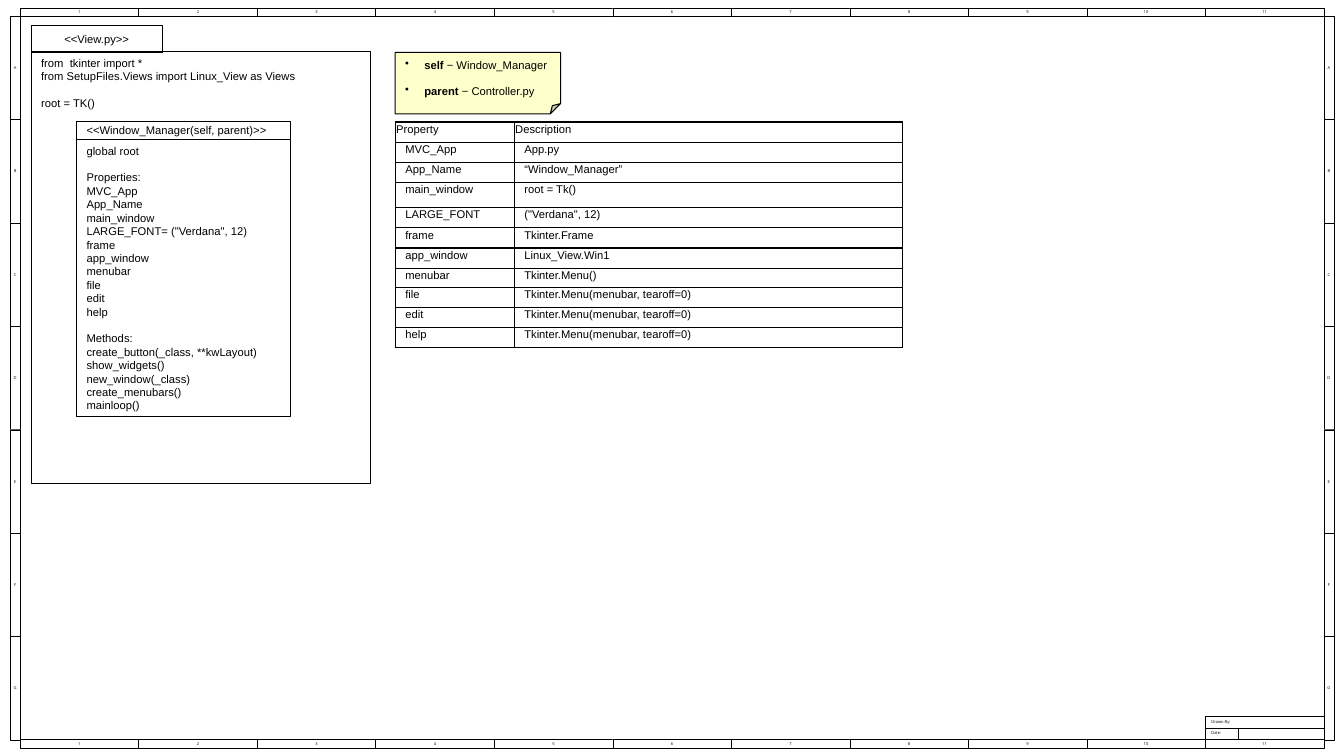
from lxml import etree
from pptx import Presentation
from pptx.dml.color import RGBColor
from pptx.enum.shapes import MSO_SHAPE
from pptx.enum.text import MSO_ANCHOR, PP_ALIGN
from pptx.oxml.ns import qn
from pptx.util import Inches, Pt

RECT, NOTE = MSO_SHAPE.RECTANGLE, MSO_SHAPE.FOLDED_CORNER
TOP, MIDDLE = MSO_ANCHOR.TOP, MSO_ANCHOR.MIDDLE
LEFT, CENTER = PP_ALIGN.LEFT, PP_ALIGN.CENTER
COLORS = {"ink": "000000", "paper": "FFFFFF", "note": "FFFFCC"}
GAP = 9.5  # one line of body text, in points

IMPORTS = ["from  tkinter import *",
           "from SetupFiles.Views import Linux_View as Views",
           "root = TK()"]
MEMBERS = ["global root", "Properties:", "MVC_App", "App_Name", "main_window",
           'LARGE_FONT= ("Verdana", 12)', "frame", "app_window", "menubar",
           "file", "edit", "help", "Methods:",
           "create_button(_class, **kwLayout)", "show_widgets()",
           "new_window(_class)", "create_menubars()", "mainloop()"]
ROLES = [[("self", True), (" − Window_Manager", False)],
         [("parent", True), (" − Controller.py", False)]]
MENU = "Tkinter.Menu(menubar, tearoff=0)"
ROWS = [("Property", "Description"), ("MVC_App", "App.py"),
        ("App_Name", "“Window_Manager”"), ("main_window", "root = Tk()"),
        ("LARGE_FONT", '("Verdana", 12)'), ("frame", "Tkinter.Frame"),
        ("app_window", "Linux_View.Win1"), ("menubar", "Tkinter.Menu()"),
        ("file", MENU), ("edit", MENU), ("help", MENU)]


def color(name):
    return RGBColor.from_string(COLORS[name])


def write(frame, lines, size=8, font="Arial", align=LEFT, gaps=(), bullet=False):
    """Fill a text frame; a line is a string or a list of (text, bold) runs."""
    for i, line in enumerate(lines):
        para = frame.paragraphs[0] if i == 0 else frame.add_paragraph()
        para.alignment = align
        if i in gaps:
            para.space_before = Pt(GAP)
        if bullet:
            props = para._p.get_or_add_pPr()
            props.set("marL", str(Inches(0.19)))
            props.set("indent", str(-Inches(0.19)))
            etree.SubElement(props, qn("a:buChar")).set("char", "•")
        for text, bold in [(line, False)] if isinstance(line, str) else line:
            run = para.add_run()
            run.text = text
            run.font.size, run.font.name, run.font.bold = Pt(size), font, bold
            run.font.color.rgb = color("ink")


def block(slide, box, lines, kind=RECT, fill=None, line=0.75, anchor=TOP,
          pad=(0.1, 0.05), wrap=True, **style):
    """Add an outlined shape with its text."""
    shape = slide.shapes.add_shape(kind, *map(Inches, box))
    shape.shadow.inherit = False
    if fill:
        shape.fill.solid()
        shape.fill.fore_color.rgb = color(fill)
    else:
        shape.fill.background()
    shape.line.color.rgb = color("ink")
    shape.line.width = Pt(line)
    frame = shape.text_frame
    frame.word_wrap, frame.vertical_anchor = wrap, anchor
    frame.margin_left = frame.margin_right = Inches(pad[0])
    frame.margin_top = frame.margin_bottom = Inches(pad[1])
    write(frame, lines, **style)


def border(slide, box):
    """Numbered and lettered sheet edge with the sign-off boxes."""
    x, y, w, h = box
    wide, high, edge = (w - 0.2) / 11, (h - 0.16) / 7, 0.1
    small = dict(fill="paper", line=0.25, size=2.9, font="Open Sans",
                 pad=(0.06, 0.03), wrap=False)
    mark = dict(small, anchor=MIDDLE, align=CENTER)
    for top, tall in ((y, 0.08), (y + h - 0.09, 0.09)):
        for i in range(11):
            block(slide, (x + edge + i * wide, top, wide, tall), [str(i + 1)], **mark)
    for left in (x, x + w - edge):
        for i, letter in enumerate("ABCDEFG"):
            block(slide, (left, y + 0.08 + i * high, edge, high), [letter], **mark)
    left, base = x + w - edge - wide, y + h - 0.09
    block(slide, (left, base - 0.11, 0.33, 0.11), ["Date:"], **small)
    block(slide, (left, base - 0.22, wide, 0.11), ["Drawn By:"], **small)


def module(slide, box):
    """Package with its tab and the class inside it."""
    x, y, w, h = box
    block(slide, (x, y + 0.26, w, h - 0.26), IMPORTS, gaps=[2])
    block(slide, (x, y, 1.3, 0.27), ["<<View.py>>"], anchor=MIDDLE, align=CENTER)
    left, top, wide = x + 0.45, y + 0.96, 2.12
    block(slide, (left, top, wide, 0.17), ["<<Window_Manager(self, parent)>>"],
          anchor=MIDDLE)
    block(slide, (left, top + 0.17, wide, 2.75), MEMBERS,
          gaps=[MEMBERS.index("Properties:"), MEMBERS.index("Methods:")])


def outline(cell):
    """Draw all four borders of a cell."""
    props = cell._tc.get_or_add_tcPr()
    for i, side in enumerate(("a:lnL", "a:lnR", "a:lnT", "a:lnB")):
        line = etree.Element(qn(side), w=str(Pt(1)))
        fill = etree.SubElement(line, qn("a:solidFill"))
        etree.SubElement(fill, qn("a:srgbClr")).set("val", COLORS["ink"])
        props.insert(i, line)


def grid(slide, box):
    """Table of properties."""
    table = slide.shapes.add_table(len(ROWS), 2, *map(Inches, box)).table
    table.first_row = table.horz_banding = False
    for col, wide in zip(table.columns, (1.18, box[2] - 1.18)):
        col.width = Inches(wide)
    for r, (row, texts) in enumerate(zip(table.rows, ROWS)):
        row.height = Inches({3: 0.25, 7: 0.19}.get(r, 0.2))
        for cell, text in zip(row.cells, texts):
            cell.fill.solid()
            cell.fill.fore_color.rgb = color("paper")
            cell.margin_left = Inches(0.1 if r else 0.01)
            cell.margin_right = cell.margin_top = Inches(0.01)
            cell.margin_bottom = 0
            write(cell.text_frame, [text])
            outline(cell)


deck = Presentation()
deck.slide_width, deck.slide_height = Inches(13.33), Inches(7.5)
slide = deck.slides.add_slide(deck.slide_layouts[6])
border(slide, (0.1, 0.08, 13.13, 7.34))
module(slide, (0.31, 0.25, 3.37, 4.55))
block(slide, (3.92, 0.52, 1.64, 0.61), ROLES, kind=NOTE, fill="note",
      anchor=MIDDLE, gaps=[1], bullet=True)
grid(slide, (3.92, 1.21, 5.03, 2.24))
deck.save("out.pptx")
